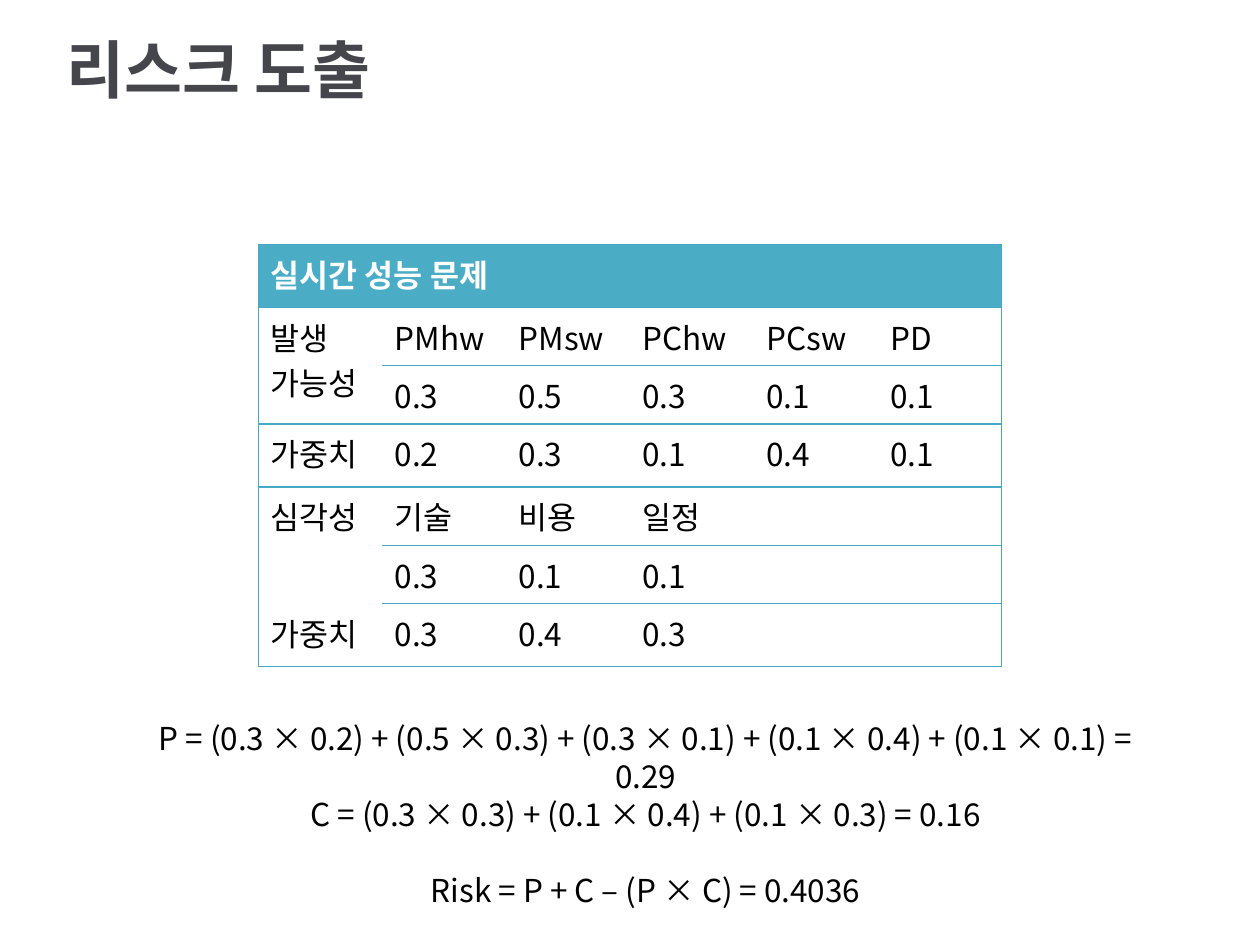
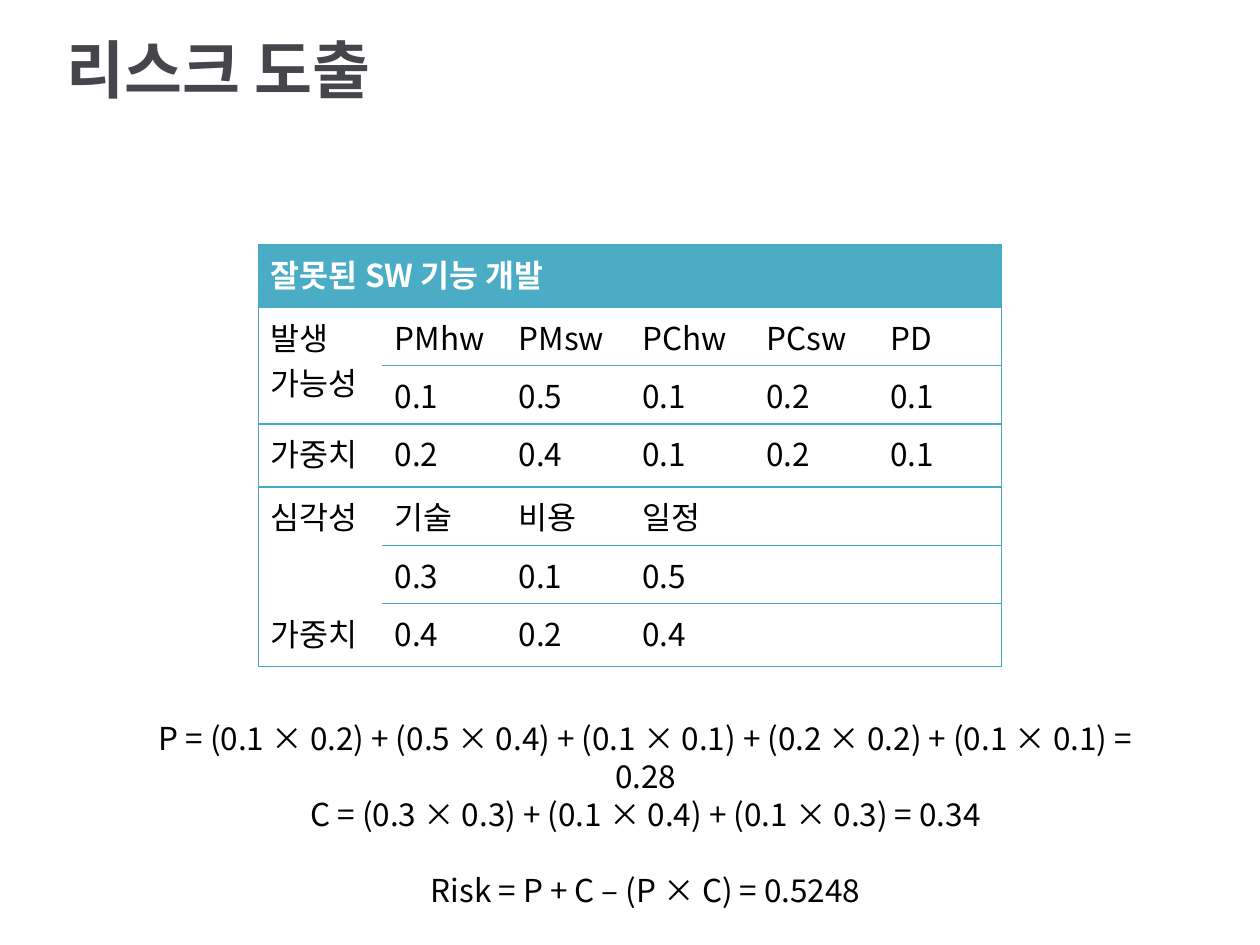
from lxml import etree
from pptx import Presentation
from pptx.dml.color import RGBColor
from pptx.enum.text import MSO_ANCHOR, MSO_AUTO_SIZE, PP_ALIGN
from pptx.oxml.ns import qn
from pptx.util import Inches, Pt

LEFT, CENTER = PP_ALIGN.LEFT, PP_ALIGN.CENTER
MIDDLE, TOP = MSO_ANCHOR.MIDDLE, MSO_ANCHOR.TOP
FIXED_SIZE = MSO_AUTO_SIZE.NONE

COLORS = {"title": "44464B", "header": "4BACC6", "border": "46AAC5",
          "body": "000000", "white": "FFFFFF"}
FONT = "Noto Sans CJK KR"
FORMATS = {
    "title": {"size": Pt(36), "bold": True},
    "white": {"size": Pt(18), "bold": True},
    "body": {"size": Pt(18), "bold": False},
}

TITLE = "리스크 도출"
FACTORS = ["PMhw", "PMsw", "PChw", "PCsw", "PD"]
IMPACTS = ["기술", "비용", "일정"]
RISKS = [
    {
        "name": "실시간 성능 문제",
        "likelihood": ["0.3", "0.5", "0.3", "0.1", "0.1"],
        "likelihood_weights": ["0.2", "0.3", "0.1", "0.4", "0.1"],
        "severity": ["0.3", "0.1", "0.1"],
        "severity_weights": ["0.3", "0.4", "0.3"],
        "formulas": [
            "P = (0.3 × 0.2) + (0.5 × 0.3) + (0.3 × 0.1) + (0.1 × 0.4) + (0.1 × 0.1) = 0.29",
            "C = (0.3 × 0.3) + (0.1 × 0.4) + (0.1 × 0.3) = 0.16",
            "Risk = P + C – (P × C) = 0.4036",
        ],
    },
    {
        "name": "잘못된 SW 기능 개발",
        "likelihood": ["0.1", "0.5", "0.1", "0.2", "0.1"],
        "likelihood_weights": ["0.2", "0.4", "0.1", "0.2", "0.1"],
        "severity": ["0.3", "0.1", "0.5"],
        "severity_weights": ["0.4", "0.2", "0.4"],
        "formulas": [
            "P = (0.1 × 0.2) + (0.5 × 0.4) + (0.1 × 0.1) + (0.2 × 0.2) + (0.1 × 0.1) = 0.28",
            "C = (0.3 × 0.3) + (0.1 × 0.4) + (0.1 × 0.3) = 0.34",
            "Risk = P + C – (P × C) = 0.5248",
        ],
    },
]

TALL, SHORT = 0.5, 0.46
ROW_HEIGHTS = [TALL, SHORT, SHORT, TALL, SHORT, SHORT, TALL]
COLUMNS = 6
TABLE_LEFT, TABLE_TOP, TABLE_WIDTH = 2.05, 1.94, 5.9
MERGES = [((0, 0), (0, 5)), ((1, 0), (2, 0)), ((4, 0), (5, 0))]
OPEN_LABEL_EDGES = (2, 5, 6)
LINE_PITCH = Pt(21.6)


def style_text(paragraph, role):
    for run in paragraph.runs:
        run.font.name = FONT
        run.font.color.rgb = RGBColor.from_string(COLORS[role])
        for attribute, value in FORMATS[role].items():
            setattr(run.font, attribute, value)
        east_asian = etree.SubElement(run.font._element, qn("a:ea"))
        east_asian.set("typeface", FONT)


def add_title(slide):
    title = slide.shapes.title
    for attribute, inches in {"left": 0.43, "top": 0.04, "width": 6.46, "height": 1.01}.items():
        setattr(title, attribute, Inches(inches))
    frame = title.text_frame
    frame.text = TITLE
    frame.auto_size = FIXED_SIZE
    frame.vertical_anchor = MIDDLE
    frame.paragraphs[0].alignment = LEFT
    style_text(frame.paragraphs[0], "title")


def set_borders(cell, sides):
    properties = cell._tc.get_or_add_tcPr()
    for side, visible in sides.items():
        line = etree.SubElement(properties, qn(f"a:ln{side}"), w=str(Pt(0.75)))
        fill = etree.SubElement(line, qn("a:solidFill" if visible else "a:noFill"))
        if visible:
            etree.SubElement(fill, qn("a:srgbClr"), val=COLORS["border"])


def has_horizontal(edge, column):
    return column > 0 or edge not in OPEN_LABEL_EDGES


def add_risk_table(slide, risk):
    content = [
        [risk["name"]],
        ["발생 \v가능성"] + FACTORS,
        [""] + risk["likelihood"],
        ["가중치"] + risk["likelihood_weights"],
        ["심각성"] + IMPACTS,
        [""] + risk["severity"],
        ["가중치"] + risk["severity_weights"],
    ]
    table = slide.shapes.add_table(
        len(content), COLUMNS, Inches(TABLE_LEFT), Inches(TABLE_TOP),
        Inches(TABLE_WIDTH), Inches(sum(ROW_HEIGHTS))).table
    table.horz_banding = False
    for row, height in zip(table.rows, ROW_HEIGHTS):
        row.height = Inches(height)
    for first, last in MERGES:
        table.cell(*first).merge(table.cell(*last))
    for r, texts in enumerate(content):
        role = "white" if r == 0 else "body"
        for c in range(COLUMNS):
            cell = table.cell(r, c)
            bottom, right = r + 1, c + 1
            if cell.is_merge_origin:
                bottom, right = r + cell.span_height, c + cell.span_width
            set_borders(cell, {
                "L": c == 0,
                "R": right == COLUMNS,
                "T": has_horizontal(r, c),
                "B": has_horizontal(bottom, c),
            })
            cell.fill.solid()
            cell.fill.fore_color.rgb = RGBColor.from_string(COLORS["header" if r == 0 else "white"])
            cell.vertical_anchor = TOP
            if c < len(texts) and texts[c]:
                cell.text = texts[c]
                style_text(cell.text_frame.paragraphs[0], role)


def add_formulas(slide, formulas):
    frame = slide.shapes.add_textbox(Inches(1.1), Inches(5.66), Inches(8.05), Inches(1.31)).text_frame
    frame.word_wrap = True
    frame.text = "\n".join(formulas)
    for paragraph in frame.paragraphs:
        paragraph.alignment = CENTER
        paragraph.line_spacing = LINE_PITCH
        style_text(paragraph, "body")
    frame.paragraphs[-1].space_before = LINE_PITCH


def main():
    deck = Presentation()
    deck.slide_width, deck.slide_height = Inches(10), Inches(7.5)
    for risk in RISKS:
        slide = deck.slides.add_slide(deck.slide_layouts[5])
        add_title(slide)
        add_risk_table(slide, risk)
        add_formulas(slide, risk["formulas"])
    deck.save("out.pptx")


if __name__ == "__main__":
    main()
